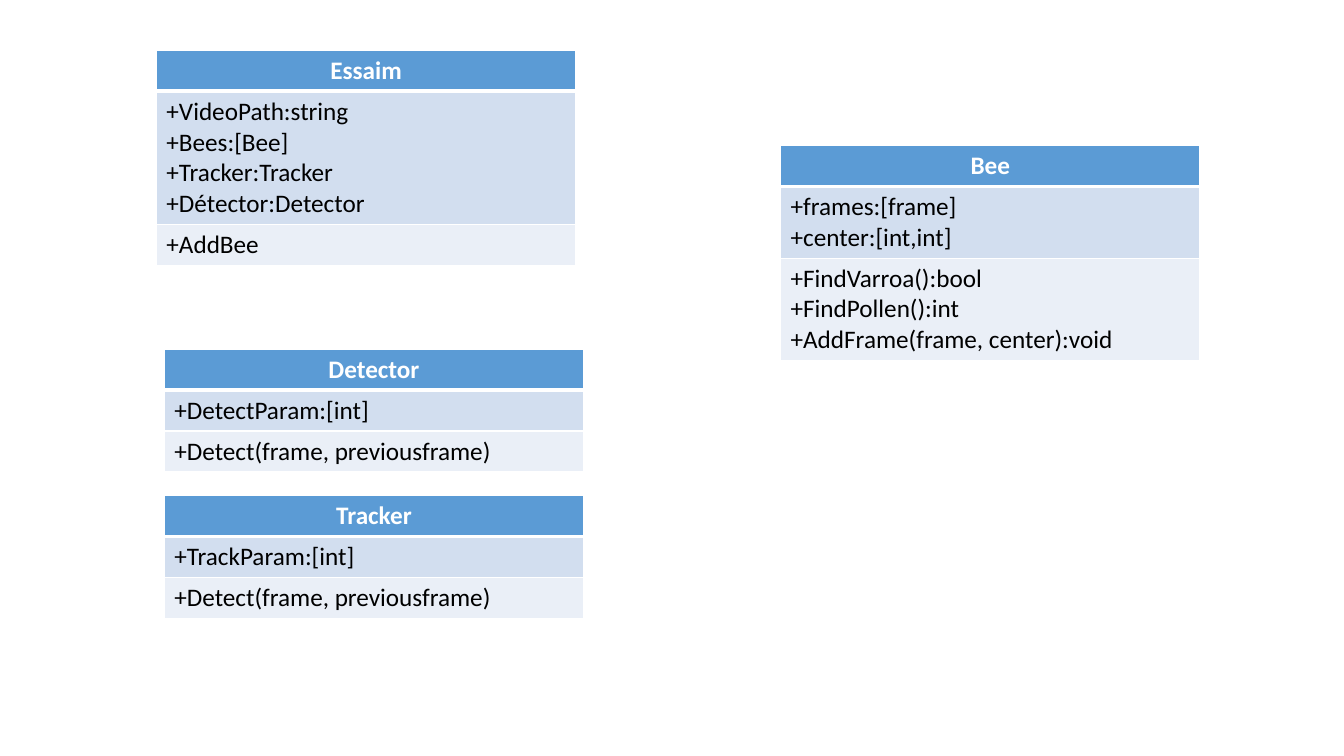
from lxml import etree
from pptx import Presentation
from pptx.dml.color import RGBColor
from pptx.enum import text
from pptx.oxml import ns
from pptx.util import Cm, Pt

WHITE = RGBColor(0xFF, 0xFF, 0xFF)
BLACK = RGBColor(0, 0, 0)
HEADER = RGBColor(0x5B, 0x9B, 0xD5)
ATTRIBUTES = RGBColor(0xD2, 0xDE, 0xEF)
METHODS = RGBColor(0xEA, 0xEF, 0xF7)

CLASS_WIDTH = Cm(10.57)
LINE_HEIGHT = 0.77
CELL_PADDING = 0.25

CLASSES = [
    ("Bee", 19.67, 3.67, 1.03,
     ["+frames:[frame]", "+center:[int,int]"],
     ["+FindVarroa():bool", "+FindPollen():int",
      "+AddFrame(frame, center):void"]),
    ("Essaim", 3.94, 1.27, 1.03,
     ["+VideoPath:string", "+Bees:[Bee]", "+Tracker:Tracker",
      "+Détector:Detector"],
     ["+AddBee"]),
    ("Detector", 4.14, 8.8, 0.97,
     ["+DetectParam:[int]"], ["+Detect(frame, previousframe)"]),
    ("Tracker", 4.14, 12.49, 0.97,
     ["+TrackParam:[int]"], ["+Detect(frame, previousframe)"]),
]


def write_line(p, line, color=BLACK, bold=False, align=text.PP_ALIGN.LEFT):
    p.alignment = align
    r = p.add_run()
    r.text = line
    r.font.name = "Calibri"
    r.font.size = Pt(18)
    r.font.bold = bold
    r.font.color.rgb = color


def set_borders(cell, bottom=1, top=1):
    tc_pr = cell._tc.get_or_add_tcPr()
    for side, width in (("L", 1), ("R", 1), ("T", top), ("B", bottom)):
        ln = etree.SubElement(tc_pr, ns.qn(f"a:ln{side}"), w=str(Pt(width)))
        fill = etree.SubElement(ln, ns.qn("a:solidFill"))
        etree.SubElement(fill, ns.qn("a:srgbClr"), val=str(WHITE))


def fill_cell(cell, lines, fill, top=1, bottom=1, **fmt):
    set_borders(cell, top=top, bottom=bottom)
    cell.fill.solid()
    cell.fill.fore_color.rgb = fill
    tf = cell.text_frame
    for i, line in enumerate(lines):
        p = tf.add_paragraph() if i else tf.paragraphs[0]
        write_line(p, line, **fmt)


def add_class(slide, name, left, top, header_height, attributes, methods):
    heights = [Cm(header_height)]
    heights += [Cm(CELL_PADDING + LINE_HEIGHT * len(lines))
                for lines in (attributes, methods)]
    sp = slide.shapes.add_table(3, 1, Cm(left), Cm(top), CLASS_WIDTH,
                                sum(heights))
    table = sp.table
    for row, height in zip(table.rows, heights):
        row.height = height
    fill_cell(table.cell(0, 0), [name], HEADER, bottom=3, color=WHITE,
              bold=True, align=text.PP_ALIGN.CENTER)
    fill_cell(table.cell(1, 0), attributes, ATTRIBUTES, top=3)
    fill_cell(table.cell(2, 0), methods, METHODS)


def main():
    prs = Presentation()
    prs.slide_width, prs.slide_height = Cm(33.87), Cm(19.05)
    slide = prs.slides.add_slide(prs.slide_layouts[6])
    for uml_class in CLASSES:
        add_class(slide, *uml_class)
    prs.save("out.pptx")


if __name__ == "__main__":
    main()
